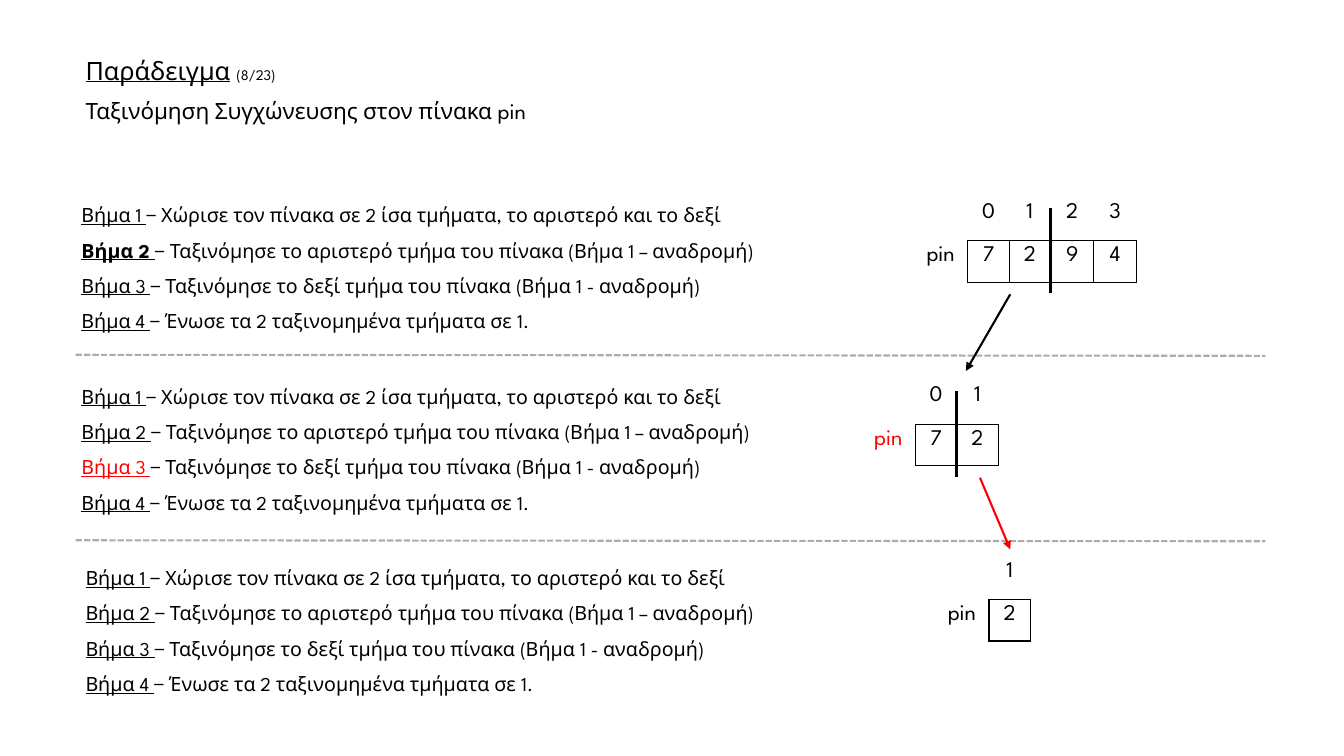
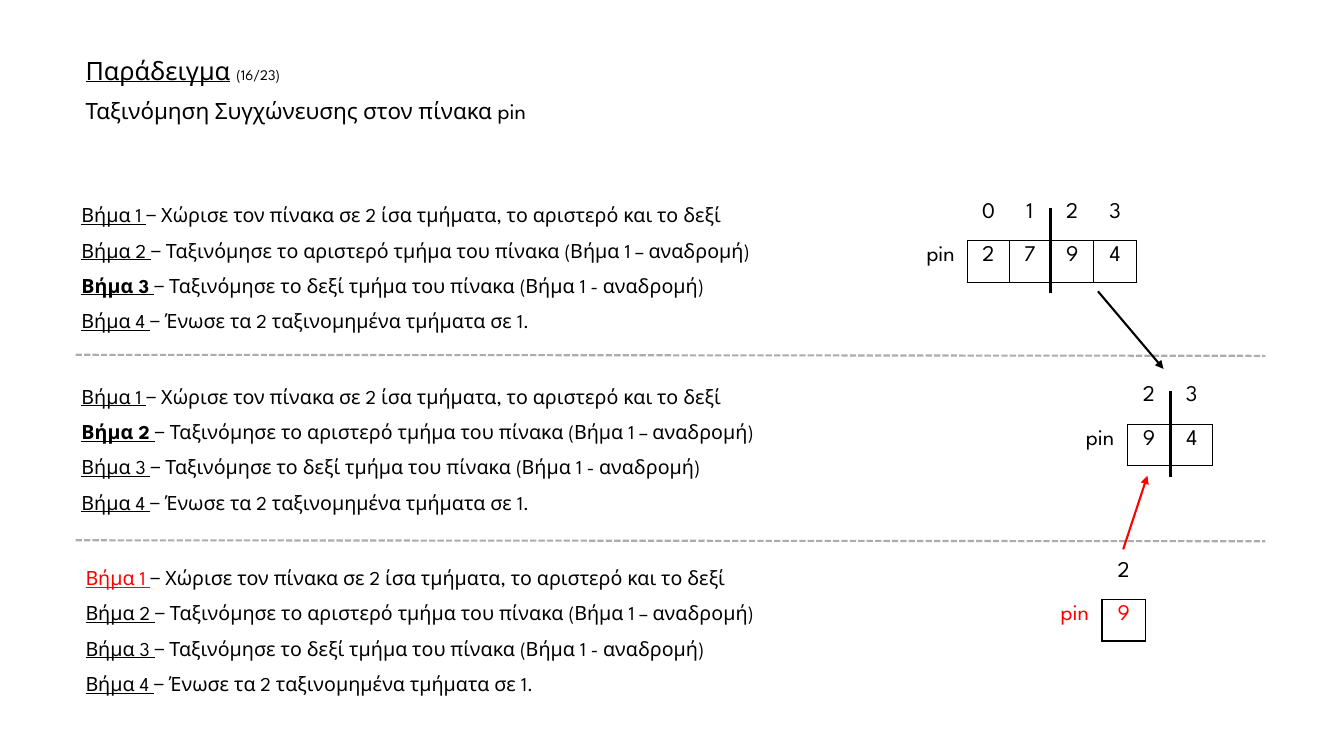
from dataclasses import dataclass
from lxml.etree import SubElement
from pptx import Presentation
from pptx.dml.color import RGBColor
from pptx.enum.dml import MSO_LINE_DASH_STYLE as Dash
from pptx.enum.shapes import MSO_CONNECTOR
from pptx.enum.text import MSO_ANCHOR, MSO_AUTO_SIZE, PP_ALIGN
from pptx.oxml import parse_xml
from pptx.oxml.ns import nsdecls, qn
from pptx.util import Inches, Pt


@dataclass(frozen=True)
class Theme:
    font: str = "League Spartan"
    ink: str = "000000"
    accent: str = "FF0000"
    rule: str = "AFABAB"
    title: float = 18
    counter: float = 10.5
    subtitle: float = 16
    step: float = 14
    cell: float = 16
    border: float = 1
    arrow: float = 1.5
    divider: float = 2.25


THEME = Theme()
TITLE = "Παράδειγμα"
SUBTITLE = "Ταξινόμηση Συγχώνευσης στον πίνακα pin"
ARRAY_NAME = "pin"
STEPS = [
    ("Βήμα 1 ", "− Χώρισε τον πίνακα σε 2 ίσα τμήματα, το αριστερό και το δεξί"),
    ("Βήμα 2 ", "− Ταξινόμησε το αριστερό τμήμα του πίνακα (Βήμα 1 – αναδρομή)"),
    ("Βήμα 3 ", "− Ταξινόμησε το δεξί τμήμα του πίνακα (Βήμα 1 - αναδρομή)"),
    ("Βήμα 4 ", "− Ένωσε τα 2 ταξινομημένα τμήματα σε 1."),
]
BOLD, RED = {"bold": True}, {"color": THEME.accent}
SLIDES = [
    {
        "counter": "(8/23)",
        "levels": [
            {"left": 9.06, "first": 0, "values": "7294", "marked": {2: BOLD}},
            {"left": 8.54, "first": 0, "values": "72", "marked": {3: RED}, "name": RED},
            {"left": 9.27, "first": 1, "values": "2"},
        ],
        "arrows": [
            ((10.02, 2.92), (9.58, 3.68), THEME.ink),
            ((9.72, 4.74), (10.02, 5.45), THEME.accent),
        ],
    },
    {
        "counter": "(16/23)",
        "levels": [
            {"left": 9.06, "first": 0, "values": "2794", "marked": {3: BOLD}},
            {"left": 10.64, "first": 2, "values": "94", "marked": {2: BOLD}},
            {"left": 10.39, "first": 2, "values": "9", "marked": {1: RED},
             "name": RED, "value": RED},
        ],
        "arrows": [
            ((10.89, 2.89), (11.54, 3.66), THEME.ink),
            ((11.14, 5.45), (11.38, 4.72), THEME.accent),
        ],
    },
]

STEPS_LEFT = (0.71, 0.71, 0.75)
STEPS_TOP, STEPS_PITCH = 1.85, 1.8
ARRAY_TOPS = (1.96, 3.78, 5.52)
NAME_WIDTH = 0.54
INDEX_WIDTHS = (0.41, 0.41, 0.43, 0.42)
ROW_HEIGHTS = (0.43, 0.41)
RULE_TOPS = (3.52, 5.36)


def add_run(paragraph, text, size, color=THEME.ink, bold=False, underline=False):
    run = paragraph.add_run()
    run.text = text
    font = run.font
    font.name, font.size = THEME.font, Pt(size)
    font.bold, font.underline = bold, underline
    font.color.rgb = RGBColor.from_string(color)


def add_frame(slide, left, top, width, height):
    frame = slide.shapes.add_textbox(*map(Inches, (left, top, width, height))).text_frame
    frame.word_wrap = True
    return frame


def add_line(slide, start, end, color, width, dash=None, arrow=False):
    line = slide.shapes.add_connector(
        MSO_CONNECTOR.STRAIGHT, *map(Inches, (*start, *end)))
    line.line.color.rgb = RGBColor.from_string(color)
    line.line.width = Pt(width)
    if dash:
        line.line.dash_style = dash
    if arrow:
        SubElement(line.line._get_or_add_ln(), qn("a:tailEnd"), type="triangle")
    SubElement(line._element.spPr, qn("a:effectLst"))


def set_borders(cell, drawn):
    cell.fill.background()
    properties = cell._tc.get_or_add_tcPr()
    for position, side in enumerate("LRTB"):
        fill = (f'<a:solidFill><a:srgbClr val="{THEME.ink}"/></a:solidFill>'
                if side in drawn else "<a:noFill/>")
        properties.insert(position, parse_xml(
            f'<a:ln{side} {nsdecls("a")} w="{Pt(THEME.border)}">{fill}</a:ln{side}>'))


def add_title(slide, counter):
    frame = add_frame(slide, 0.75, 0.52, 10.79, 0.77)
    frame.vertical_anchor = MSO_ANCHOR.MIDDLE
    heading, subtitle = frame.paragraphs[0], frame.add_paragraph()
    heading.line_spacing = subtitle.line_spacing = 0.9
    subtitle.space_before = Pt(10)
    add_run(heading, TITLE, THEME.title, underline=True)
    add_run(heading, " ", THEME.title)
    add_run(heading, counter, THEME.counter)
    add_run(subtitle, SUBTITLE, THEME.subtitle)


def add_steps(slide, left, top, marked):
    frame = add_frame(slide, left, top, 7.03, 1.47)
    frame.auto_size = MSO_AUTO_SIZE.SHAPE_TO_FIT_TEXT
    for number, (label, action) in enumerate(STEPS, 1):
        paragraph = frame.paragraphs[0] if number == 1 else frame.add_paragraph()
        paragraph.line_spacing = 1.5
        add_run(paragraph, label, THEME.step, underline=True, **marked.get(number, {}))
        add_run(paragraph, action, THEME.step)


def add_array(slide, top, left, first, values, name={}, value={}):
    count = len(values)
    widths = (NAME_WIDTH, *INDEX_WIDTHS[first:first + count])
    table = slide.shapes.add_table(
        2, count + 1, *map(Inches, (left, top, sum(widths), sum(ROW_HEIGHTS)))).table
    table.first_row = table.horz_banding = False
    for column, width in zip(table.columns, widths):
        column.width = Inches(width)
    for row, height in zip(table.rows, ROW_HEIGHTS):
        row.height = Inches(height)

    indexes = [(str(first + offset), "B", {}) for offset in range(count)]
    contents = [
        [("", "", {}), *indexes],
        [(ARRAY_NAME, "R", name), *((digit, "LRTB", value) for digit in values)],
    ]
    for row, entries in enumerate(contents):
        for column, (text, borders, style) in enumerate(entries):
            cell = table.cell(row, column)
            set_borders(cell, borders)
            paragraph = cell.text_frame.paragraphs[0]
            paragraph.alignment = PP_ALIGN.CENTER
            if text:
                add_run(paragraph, text, THEME.cell, **style)

    if count > 1:
        middle = left + sum(widths[:count // 2 + 1])
        add_line(slide, (middle, top + 0.95), (middle, top + 0.1),
                 THEME.ink, THEME.divider)


deck = Presentation()
deck.slide_width, deck.slide_height = Inches(13.33), Inches(7.5)
for content in SLIDES:
    slide = deck.slides.add_slide(deck.slide_layouts[6])
    add_title(slide, content["counter"])
    for top in RULE_TOPS:
        add_line(slide, (0.75, top), (12.55, top + 0.01),
                 THEME.rule, THEME.arrow, dash=Dash.SQUARE_DOT)
    for depth, level in enumerate(content["levels"]):
        array = {key: part for key, part in level.items() if key != "marked"}
        add_steps(slide, STEPS_LEFT[depth], STEPS_TOP + depth * STEPS_PITCH,
                  level.get("marked", {}))
        add_array(slide, ARRAY_TOPS[depth], **array)
    for start, end, color in content["arrows"]:
        add_line(slide, start, end, color, THEME.arrow, arrow=True)
deck.save("out.pptx")
